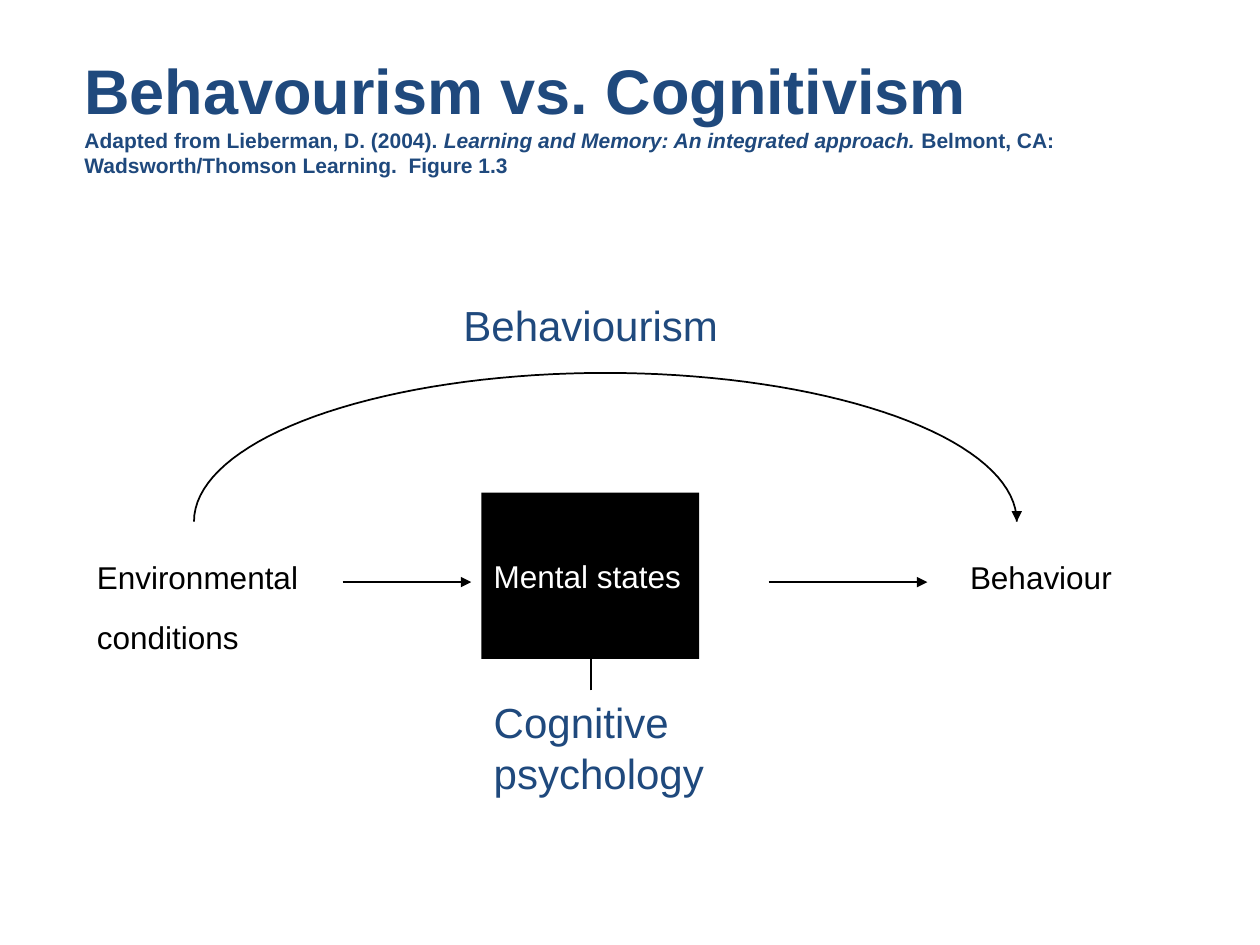
import math

from lxml import etree
from pptx import Presentation
from pptx.dml.color import RGBColor
from pptx.enum import shapes, text
from pptx.oxml.ns import qn
from pptx.util import Inches, Pt

NAVY, BLACK, WHITE = "1F497D", "000000", "FFFFFF"


def rgb(value):
    return RGBColor.from_string(value)


def style_run(r, size, color, bold=False, italic=False):
    r.font.name = "Arial"
    r.font.size = Pt(size)
    r.font.color.rgb = rgb(color)
    r.font.bold = bold
    r.font.italic = italic


def fill_text(sp, content, size, color, anchor=text.MSO_ANCHOR.TOP):
    tf = sp.text_frame
    tf.word_wrap = True
    tf.vertical_anchor = anchor
    tf.text = content
    for i, p in enumerate(tf.paragraphs):
        p.alignment = text.PP_ALIGN.LEFT
        if i:
            p.space_before = Pt(12.5)
        for r in p.runs:
            style_run(r, size, color)


def add_label(s, content, box, size, color):
    sp = s.shapes.add_textbox(*map(Inches, box))
    fill_text(sp, content, size, color)


def add_title(s):
    sp = s.shapes.add_textbox(*map(Inches, (0.67, 0.36, 8.98, 1.26)))
    tf = sp.text_frame
    tf.word_wrap = True
    tf.margin_left = 0
    p = tf.paragraphs[0]
    r = p.add_run()
    r.text = "Behavourism vs. Cognitivism"
    style_run(r, 36, NAVY, bold=True)
    p.add_line_break()
    citation = [
        ("Adapted from Lieberman, D. (2004). ", False),
        ("Learning and Memory: An integrated approach. ", True),
        ("Belmont, CA: Wadsworth/Thomson Learning.  Figure 1.3", False),
    ]
    for content, italic in citation:
        r = p.add_run()
        r.text = content
        style_run(r, 12, NAVY, bold=True, italic=italic)


def add_box(s, content, box):
    sp = s.shapes.add_shape(shapes.MSO_SHAPE.RECTANGLE, *map(Inches, box))
    sp.shadow.inherit = False
    sp.fill.solid()
    sp.fill.fore_color.rgb = rgb(BLACK)
    sp.line.fill.background()
    fill_text(sp, content, 18, WHITE, text.MSO_ANCHOR.MIDDLE)


def set_line(sp):
    sp.line.color.rgb = rgb(BLACK)
    sp.line.width = Pt(1)


def add_arc(s, left, top, width, height, steps=72):
    points = []
    for i in range(steps + 1):
        angle = math.pi * i / steps
        x = left + width / 2 * (1 - math.cos(angle))
        y = top + height * (1 - math.sin(angle))
        points.append((Inches(x), Inches(y)))
    builder = s.shapes.build_freeform(*points[0])
    builder.add_line_segments(points[1:], close=False)
    sp = builder.convert_to_shape()
    sp.shadow.inherit = False
    sp.fill.background()
    set_line(sp)


def add_arrow(s, x1, y1, x2, y2):
    sp = s.shapes.add_connector(
        shapes.MSO_CONNECTOR.STRAIGHT, *map(Inches, (x1, y1, x2, y2)))
    set_line(sp)
    etree.SubElement(sp.line._get_or_add_ln(), qn("a:tailEnd"), type="triangle")
    etree.SubElement(sp._element.spPr, qn("a:effectLst"))


def main():
    prs = Presentation()
    prs.slide_width, prs.slide_height = Inches(10), Inches(7.5)
    s = prs.slides.add_slide(prs.slide_layouts[6])

    add_title(s)
    add_label(s, "Behaviourism", (3.58, 2.33, 2.36, 0.5), 24, NAVY)
    add_label(s, "Environmental\nconditions", (0.67, 4.38, 1.97, 0.86), 18, BLACK)
    add_box(s, "Mental states", (3.82, 3.91, 1.73, 1.32))
    add_label(s, "Behaviour", (7.6, 4.38, 1.89, 0.4), 18, BLACK)
    add_label(s, "Cognitive psychology", (3.82, 5.48, 2.52, 0.9), 24, NAVY)

    add_arc(s, 1.54, 2.96, 6.53, 1.18)
    for ends in [(8.07, 4.06, 8.07, 4.14), (4.69, 5.48, 4.69, 4.85),
                 (2.72, 4.62, 3.74, 4.62), (6.1, 4.62, 7.36, 4.62)]:
        add_arrow(s, *ends)

    prs.save("out.pptx")


if __name__ == "__main__":
    main()
